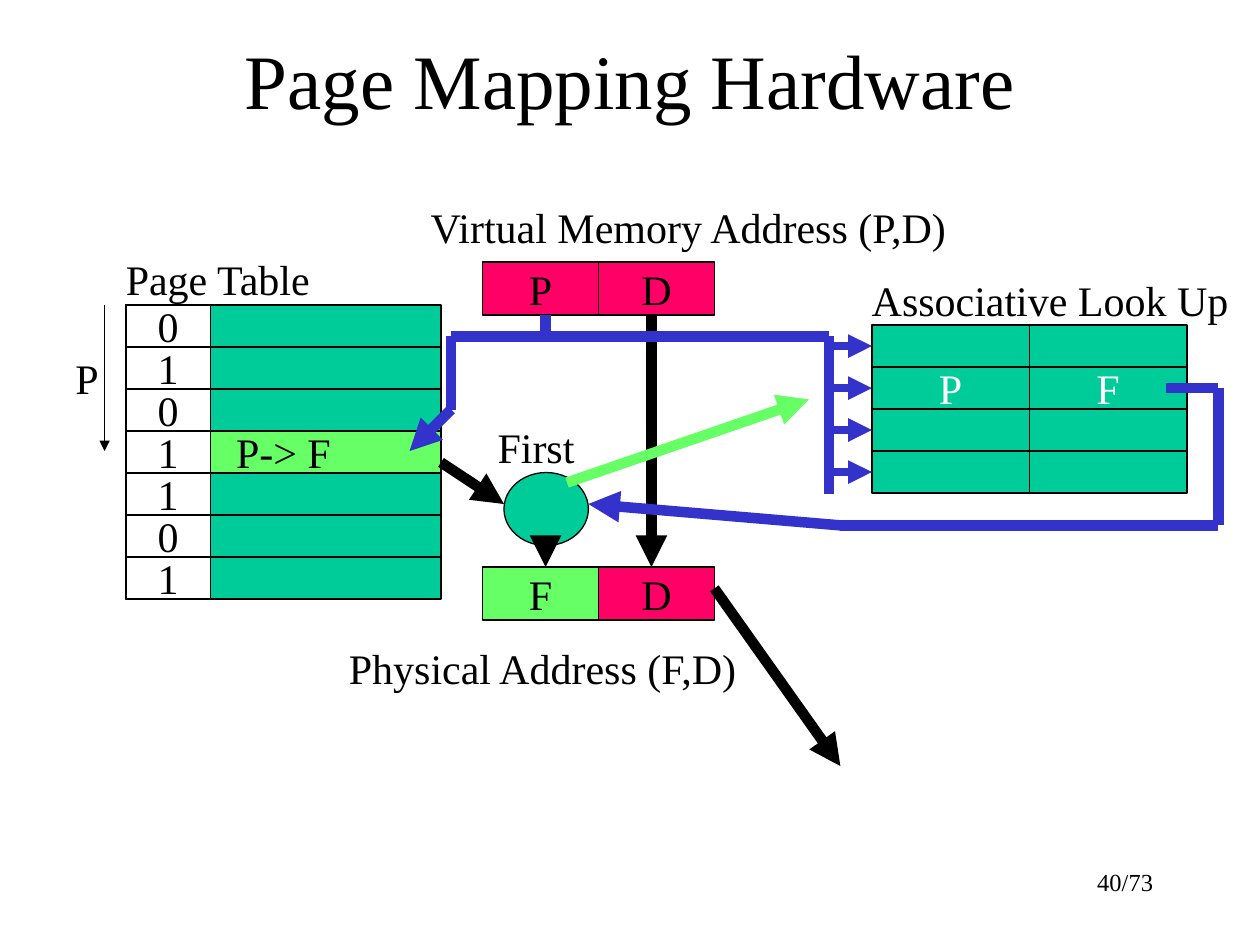
"""Build a slide showing how page mapping hardware turns a virtual address into a physical one."""
from dataclasses import dataclass

from lxml.etree import SubElement
from pptx import Presentation
from pptx.dml.color import RGBColor
from pptx.enum.shapes import MSO_CONNECTOR, MSO_SHAPE
from pptx.enum.text import MSO_ANCHOR as ANCHOR, PP_ALIGN as ALIGN
from pptx.oxml.ns import qn
from pptx.util import Inches, Pt


@dataclass(frozen=True)
class Theme:
    font: str = "Times New Roman"
    black: str = "000000"
    white: str = "FFFFFF"
    teal: str = "00CC99"
    pink: str = "FF0066"
    green: str = "66FF66"
    blue: str = "3333CC"
    title: int = 44
    body: int = 24
    footer: int = 14
    thin: float = 0.75
    medium: float = 4.5
    thick: float = 6


theme = Theme()
deck = Presentation()
deck.slide_width, deck.slide_height = Inches(10), Inches(7.5)
slide = deck.slides.add_slide(deck.slide_layouts[6])


def write(text, left, top, width, height, fill=None, shape=MSO_SHAPE.RECTANGLE, size=theme.body,
          color=theme.black, align=ALIGN.LEFT, anchor=ANCHOR.TOP, wrap=False):
    area = [Inches(value) for value in (left, top, width, height)]
    if fill:
        item = slide.shapes.add_shape(shape, *area)
        item.shadow.inherit = False
        item.fill.solid()
        item.fill.fore_color.rgb = RGBColor.from_string(fill)
        item.line.color.rgb = RGBColor.from_string(theme.black)
        item.line.width = Pt(theme.thin)
        align, anchor = ALIGN.CENTER, ANCHOR.MIDDLE
    else:
        item = slide.shapes.add_textbox(*area)
    if text:
        frame = item.text_frame
        frame.word_wrap, frame.vertical_anchor = wrap, anchor
        paragraph = frame.paragraphs[0]
        paragraph.alignment = align
        run = paragraph.add_run()
        run.text = text
        run.font.name, run.font.size = theme.font, Pt(size)
        run.font.color.rgb = RGBColor.from_string(color)


def connect(start, end, color=theme.black, width=theme.thick, arrow=True):
    link = slide.shapes.add_connector(
        MSO_CONNECTOR.STRAIGHT, *[Inches(value) for value in (*start, *end)])
    link.line.color.rgb = RGBColor.from_string(color)
    link.line.width = Pt(width)
    if arrow:
        SubElement(link.line._get_or_add_ln(), qn("a:tailEnd"), type="triangle")
    SubElement(link._element.spPr, qn("a:effectLst"))


write("40/73", 7.17, 6.83, 2.08, 0.5, size=theme.footer, align=ALIGN.RIGHT, wrap=True)
write("Page Mapping Hardware", 0.75, 0, 8.5, 1.25, size=theme.title,
      align=ALIGN.CENTER, anchor=ANCHOR.MIDDLE, wrap=True)

address_left, field_width, field_height = 3.83, 0.92, 0.42
for address_top, fields in ((2.08, (("P", theme.pink), ("D", theme.pink))),
                            (4.5, (("F", theme.green), ("D", theme.pink)))):
    for column, (field, fill) in enumerate(fields):
        write(field, address_left + column * field_width, address_top,
              field_width, field_height, fill=fill)

row_height = 1 / 3
page_left, page_top, mapped_row = 1, 2.42, 3
for row, valid_bit in enumerate("0101101"):
    row_top = page_top + row * row_height
    mapped = row == mapped_row
    write("P-> F" if mapped else "", page_left, row_top, 2.5, row_height,
          fill=theme.green if mapped else theme.teal)
    write(valid_bit, page_left, row_top, 0.67, row_height, fill=theme.white)

connect((5.17, 2.5), (5.17, 4.5))
connect((3.5, 3.67), (4, 4))
connect((5.67, 4.67), (6.67, 6.08))
connect((0.83, 2.42), (0.83, 3.58), width=theme.thin)

for caption, left, top, width in (
    ("Page Table", 0.9, 1.96, 1.69),
    ("Virtual Memory Address (P,D)", 3.32, 1.55, 4.37),
    ("Physical Address (F,D)", 2.67, 5.05, 3.32),
    ("P", 0.5, 2.75, 0.39),
    ("Associative Look Up", 6.82, 2.13, 3.03),
    ("First", 3.85, 3.3, 0.81),
):
    write(caption, left, top, width, 0.5)

lookup_left, lookup_top, lookup_width = 6.92, 2.58, 1.25
for row, entry in enumerate((("", ""), ("P", "F"), ("", ""), ("", ""))):
    for column, value in enumerate(entry):
        write(value, lookup_left + column * lookup_width, lookup_top + row * row_height,
              lookup_width, row_height, fill=theme.teal, color=theme.white)

bus_left, bus_right, bus_top = 3.58, 6.58, 2.67
connect((bus_left, bus_top), (bus_right, bus_top), theme.blue, arrow=False)
connect((4.33, 2.5), (4.33, bus_top), theme.blue, arrow=False)
connect((bus_left, bus_top), (bus_left, 3.25), theme.blue, arrow=False)
connect((bus_left, 3.25), (3.25, 3.58), theme.blue)
connect((bus_right, bus_top), (bus_right, 3.92), theme.blue, arrow=False)
for row in range(4):
    row_middle = lookup_top + (row + 0.5) * row_height
    connect((bus_right, row_middle), (lookup_left, row_middle), theme.blue, theme.medium)

frame_route = ((9.25, 3.08), (9.67, 3.08), (9.67, 4.17), (6.67, 4.17), (4.67, 4))
for start, end in zip(frame_route, frame_route[1:]):
    connect(start, end, theme.blue, arrow=end == frame_route[-1])

write("", 4, 3.75, 0.67, 0.58, fill=theme.teal, shape=MSO_SHAPE.OVAL)
connect((4.33, 4.33), (4.33, 4.5))
connect((4.5, 3.83), (6.42, 3.17), theme.green)

deck.save("out.pptx")
